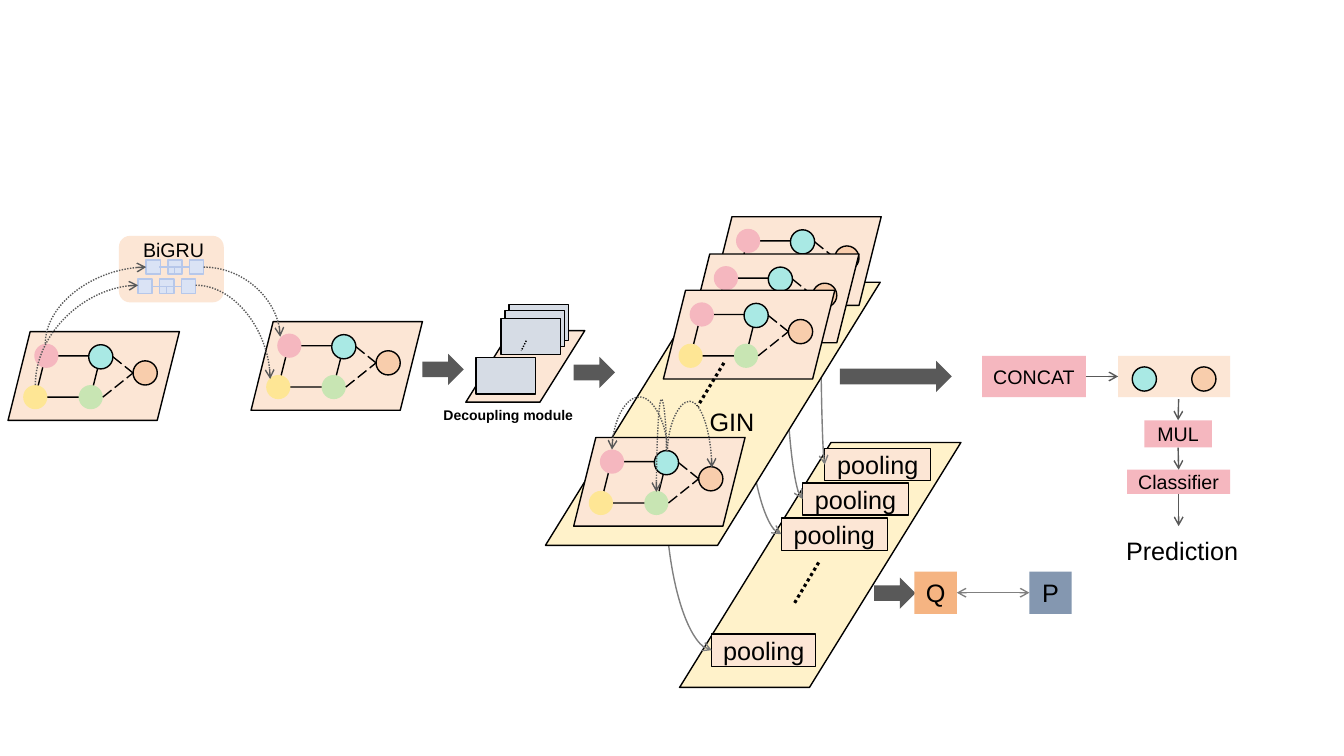
from pptx import Presentation
from pptx.dml.color import RGBColor
from pptx.enum.dml import MSO_LINE
from pptx.enum.shapes import MSO_CONNECTOR, MSO_SHAPE
from pptx.enum.text import MSO_ANCHOR, PP_ALIGN
from pptx.oxml.ns import qn
from pptx.util import Inches, Pt
from lxml import etree

RECT, ROUND, OVAL = MSO_SHAPE.RECTANGLE, MSO_SHAPE.ROUNDED_RECTANGLE, MSO_SHAPE.OVAL
SLANT, BLOCK = MSO_SHAPE.PARALLELOGRAM, MSO_SHAPE.RIGHT_ARROW
LINE, CURVE = MSO_CONNECTOR.STRAIGHT, MSO_CONNECTOR.CURVE
DOT, DASH = MSO_LINE.ROUND_DOT, MSO_LINE.LONG_DASH
TOP, LEFT, BOTTOM, RIGHT = range(4)
BLACK, DARK, GRAY = "000000", "595959", "808080"
PEACH, CREAM, PINK = "FCE6D5", "FFF2CA", "F5B7BF"
CYAN, ORANGE = "A9E9E4", "F8CDAC"
PALE, BLUE, STEEL = "DAE3F5", "B6C7EA", "D6DCE5"
NODE = 0.24


def color(code):
    return RGBColor.from_string(code)


def style(para, size, bold=False):
    for run in para.runs:
        run.font.name = "Arial"
        run.font.size = Pt(size)
        run.font.bold = bold
        run.font.color.rgb = color(BLACK)


def block(slide, kind, box, fill=None, edge=None, text="", size=18, adj=None):
    shape = slide.shapes.add_shape(kind, *map(Inches, box))
    shape.shadow.inherit = False
    if adj is not None:
        shape.adjustments[0] = adj
    if fill:
        shape.fill.solid()
        shape.fill.fore_color.rgb = color(fill)
    else:
        shape.fill.background()
    if edge:
        shape.line.color.rgb = color(edge)
        shape.line.width = Pt(1)
    else:
        shape.line.fill.background()
    if text:
        frame = shape.text_frame
        frame.margin_left = frame.margin_right = 0
        frame.margin_top = frame.margin_bottom = 0
        frame.vertical_anchor = MSO_ANCHOR.MIDDLE
        frame.text = text
        frame.paragraphs[0].alignment = PP_ALIGN.CENTER
        style(frame.paragraphs[0], size)
    return shape


def label(slide, box, text, size, bold=False):
    frame = slide.shapes.add_textbox(*map(Inches, box)).text_frame
    frame.word_wrap = True
    frame.text = text
    style(frame.paragraphs[0], size, bold)


def link(slide, start, end, ink=BLACK, width=1, dash=None, ends=(), kind=LINE):
    line = slide.shapes.add_connector(kind, *map(Inches, (*start, *end)))
    line.line.color.rgb = color(ink)
    line.line.width = Pt(width)
    if dash:
        line.line.dash_style = dash
    props = line.element.spPr
    for end_tag in ends:
        etree.SubElement(props.find(qn("a:ln")), qn(end_tag)).set("type", "arrow")
    etree.SubElement(props, qn("a:effectLst"))
    return line


def arrow(slide, start, end, ink=DARK, **more):
    return link(slide, start, end, ink, ends=("a:tailEnd",), **more)


def curve(slide, start, end, ink=DARK, dash=None, upright=True, peak=None):
    """Bend from start to end; upright bends leave vertically."""
    (x1, y1), (x2, y2) = start, end
    dx, dy = x2 - x1, y2 - y1
    along, across = (dy, -dx) if upright else (dx, dy)
    midx, midy = (x1 + x2) / 2, (y1 + y2) / 2
    w, h = abs(along), abs(across)
    bend = arrow(slide, (midx - w / 2, midy - h / 2), (midx + w / 2, midy + h / 2),
                 ink, dash=dash, kind=CURVE)
    frame = bend.element.spPr.find(qn("a:xfrm"))
    if upright:
        frame.set("rot", "5400000")
    if along < 0:
        frame.set("flipH", "1")
    if across < 0:
        frame.set("flipV", "1")
    geom = bend.element.spPr.find(qn("a:prstGeom"))
    if peak is None:
        geom.set("prst", "curvedConnector2")
    else:
        ratio = round((peak - y1) / dy * 100000)
        guide = etree.SubElement(geom.find(qn("a:avLst")), qn("a:gd"))
        guide.set("name", "adj1")
        guide.set("fmla", f"val {ratio}")


def graph(slide, x, y):
    block(slide, SLANT, (x, y, 1.7, 0.88), PEACH, BLACK)
    block(slide, SLANT, (x + 0.27, y + 0.24, 0.65, 0.41), edge=BLACK)
    for dx, dy, fill, edge in ((0.26, 0.12, PINK, None), (0.8, 0.13, CYAN, BLACK),
                               (0.15, 0.53, "FEE695", None), (0.7, 0.53, "C8E5B3", None),
                               (1.24, 0.29, ORANGE, BLACK)):
        block(slide, OVAL, (x + dx, y + dy, NODE, NODE), fill, edge)
    for dx, dy in ((1.04, 0.25), (0.94, 0.65)):
        link(slide, (x + dx, y + dy), (x + 1.24, y + 0.41), dash=DASH)


def pools(slide, x, y):
    block(slide, SLANT, (x, y, 2.79, 2.43), CREAM, BLACK, adj=0.618)
    # Each pooling box with the start of the curve leading to it
    for dx, dy, w, start in ((1.44, 0.06, 1.05, (8.14, 2.91)),
                             (1.22, 0.4, 1.05, (7.79, 3.17)),
                             (1.01, 0.75, 1.05, (7.4, 3.66)),
                             (0.32, 1.9, 1.03, (6.6, 4.83))):
        block(slide, RECT, (x + dx, y + dy, w, 0.32), PEACH, BLACK, "pooling")
        curve(slide, start, (x + dx, y + dy + 0.16), GRAY)


def target(slide, x, y):
    block(slide, BLOCK, (x - 0.4, y + 0.06, 0.41, 0.31), DARK)
    q = block(slide, RECT, (x, y, 0.42, 0.42), "F5B482", text="Q")
    p = block(slide, RECT, (x + 1.14, y, 0.42, 0.42), "8497B0", text="P")
    pair = link(slide, (x + 0.42, y + 0.21), (x + 1.14, y + 0.21), GRAY,
                ends=("a:headEnd", "a:tailEnd"))
    pair.begin_connect(q, RIGHT)
    pair.end_connect(p, LEFT)


def output(slide, x, y):
    concat = block(slide, RECT, (x, y, 1.03, 0.41), PINK, text="CONCAT", size=14)
    panel = block(slide, RECT, (x + 1.35, y, 1.11, 0.41), PEACH)
    for dx, fill in ((1.49, CYAN), (2.08, ORANGE)):
        block(slide, OVAL, (x + dx, y + 0.11, NODE, NODE), fill, BLACK)
    mul = block(slide, RECT, (x + 1.61, y + 0.64, 0.67, 0.27), PINK, text="MUL", size=14)
    judge = block(slide, RECT, (x + 1.44, y + 1.13, 1.02, 0.24), PINK,
                  text="Classifier", size=14)
    label(slide, (x + 1.33, y + 1.73, 1.37, 0.4), "Prediction", 18)
    mid = x + 1.95
    step = arrow(slide, (x + 1.03, y + 0.2), (x + 1.35, y + 0.2))
    step.begin_connect(concat, RIGHT)
    step.end_connect(panel, LEFT)
    step = arrow(slide, (mid, y + 0.43), (mid, y + 0.64))
    step.end_connect(mul, TOP)
    step = arrow(slide, (mid, y + 0.91), (mid, y + 1.13))
    step.begin_connect(mul, BOTTOM)
    step.end_connect(judge, TOP)
    step = arrow(slide, (mid, y + 1.37), (mid, y + 1.69))
    step.begin_connect(judge, BOTTOM)


def bigru(slide, x, y):
    block(slide, ROUND, (x, y, 1.04, 0.66), PEACH)
    for dx, dy in ((0.27, 0.24), (0.19, 0.43)):
        left, mid = x + dx, y + dy + 0.07
        for i in range(3):
            block(slide, RECT, (left + i * 0.215, y + dy, 0.14, 0.14), PALE, BLUE)
        link(slide, (left + 0.13, mid), (left + 0.43, mid), BLUE)
        link(slide, (left + 0.28, mid), (left + 0.28, mid + 0.07), BLUE)
    label(slide, (x + 0.14, y - 0.03, 1.05, 0.34), "BiGRU", 14)
    # Curves from the left graph and on to the right graph
    for start, end, upright in (((0.45, 3.41), (1.45, 2.65), True),
                                ((0.35, 3.82), (1.37, 2.83), True),
                                ((1.94, 2.83), (2.68, 3.76), False),
                                ((2.02, 2.65), (2.78, 3.34), False)):
        curve(slide, start, end, dash=DOT, upright=upright)


def module(slide, x, y):
    block(slide, SLANT, (x, y, 1.18, 0.71), PEACH, BLACK, adj=0.627)
    for dx, dy in ((0.43, -0.26), (0.39, -0.2), (0.35, -0.12), (0.1, 0.27)):
        block(slide, RECT, (x + dx, y + dy, 0.59, 0.36), STEEL, BLACK)
    link(slide, (x + 0.6, y + 0.1), (x + 0.55, y + 0.2), dash=DOT)
    label(slide, (x - 0.32, y + 0.7, 1.78, 0.27), "Decoupling module", 10, True)


def gin(slide, x, y):
    block(slide, SLANT, (x, y, 3.32, 2.61), CREAM, BLACK, adj=0.618)
    for dx, dy in ((1.63, -0.65), (1.41, -0.28), (1.17, 0.08), (0.28, 1.54)):
        graph(slide, x + dx, y + dy)
    # Message passing above the lowest graph
    for start, end, peak in (((6.62, 4.48), (6.07, 4.46), 3.94),
                             ((6.61, 4.47), (6.51, 4.88), 3.96),
                             ((6.62, 4.48), (7.06, 4.64), 3.98)):
        curve(slide, start, end, dash=DOT, peak=peak)
    label(slide, (x + 1.53, y + 1.18, 0.65, 0.4), "GIN", 18)


def main():
    deck = Presentation()
    deck.slide_width, deck.slide_height = Inches(13.33), Inches(7.5)
    slide = deck.slides.add_slide(deck.slide_layouts[6])
    pools(slide, 6.74, 4.39)
    target(slide, 9.07, 5.67)
    gin(slide, 5.41, 2.8)
    output(slide, 9.74, 3.53)
    graph(slide, 0.08, 3.29)
    graph(slide, 2.49, 3.19)
    bigru(slide, 1.18, 2.34)
    module(slide, 4.62, 3.28)
    # Flow arrows between the stages
    for x, y, w in ((4.19, 3.51, 0.41), (5.69, 3.54, 0.41), (8.33, 3.58, 1.11)):
        block(slide, BLOCK, (x, y, w, 0.31), DARK)
    # Dotted marks for the omitted layers
    for start, end in (((7.18, 3.6), (6.92, 4.03)), ((8.12, 5.58), (7.87, 6))):
        link(slide, start, end, width=2.25, dash=DOT)
    deck.save("out.pptx")


if __name__ == "__main__":
    main()
